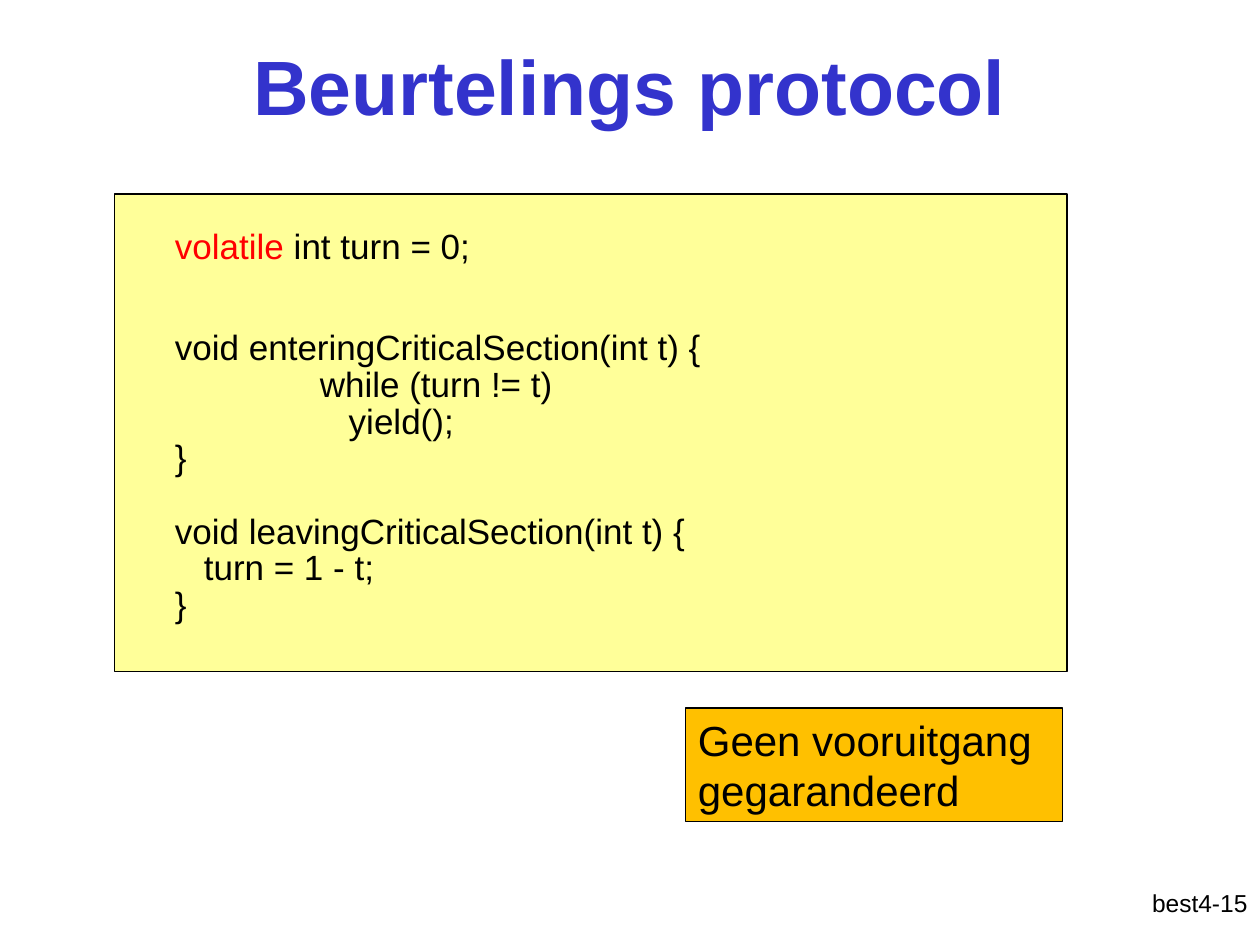
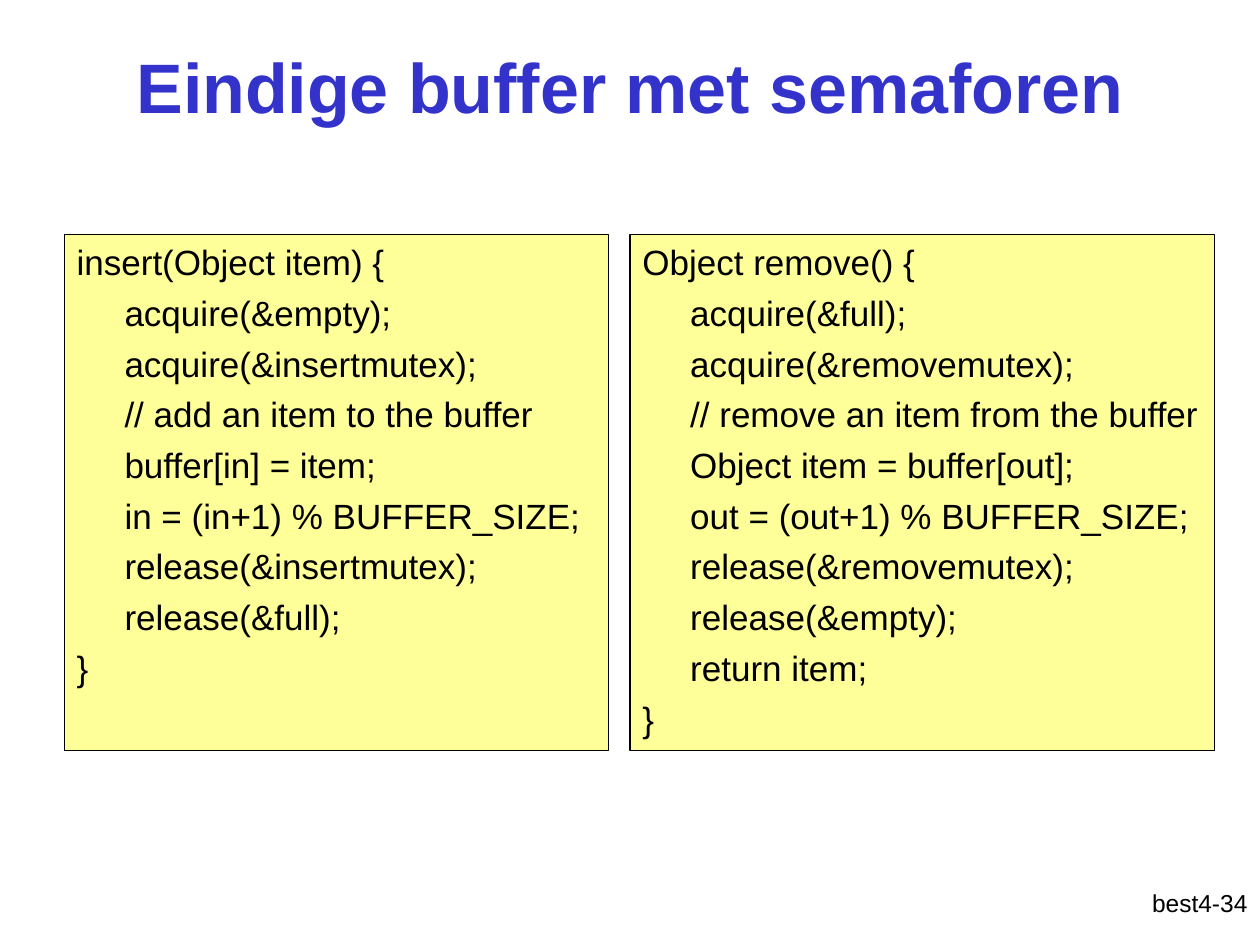
from pptx import Presentation
from pptx.dml.color import RGBColor
from pptx.enum.shapes import MSO_SHAPE
from pptx.enum.text import MSO_ANCHOR, PP_ALIGN
from pptx.util import Inches, Pt

# Shared style
FONT = "Arial"
BLACK = RGBColor(0x00, 0x00, 0x00)
RED = RGBColor(0xFF, 0x00, 0x00)
TITLE_BLUE = RGBColor(0x33, 0x33, 0xCC)
CODE_YELLOW = RGBColor(0xFF, 0xFF, 0x99)
NOTE_ORANGE = RGBColor(0xFF, 0xC0, 0x00)

RECTANGLE = MSO_SHAPE.RECTANGLE
TOP, MIDDLE = MSO_ANCHOR.TOP, MSO_ANCHOR.MIDDLE
LEFT, CENTER, RIGHT = PP_ALIGN.LEFT, PP_ALIGN.CENTER, PP_ALIGN.RIGHT

BODY_INDENT = 0.38
CODE_GAP = 5

# Code listings: (indent in inches, text)
INSERT_CODE = [(0, "insert(Object item) {")] + [(BODY_INDENT, statement) for statement in (
    "acquire(&empty);",
    "acquire(&insertmutex);",
    "// add an item to the buffer",
    "buffer[in] = item;",
    "in = (in+1) % BUFFER_SIZE;",
    "release(&insertmutex);",
    "release(&full);",
)] + [(0, "}")]

REMOVE_CODE = [(0, "Object remove() {")] + [(BODY_INDENT, statement) for statement in (
    "acquire(&full);",
    "acquire(&removemutex);",
    "// remove an item from the buffer",
    "Object item = buffer[out];",
    "out = (out+1) % BUFFER_SIZE;",
    "release(&removemutex);",
    "release(&empty);",
    "return item;",
)] + [(0, "}")]

# Turn protocol: (indent in inches, text, points before where a gap is wider)
TURN_CODE = [
    (BODY_INDENT, "volatile int turn = 0;"),
    (BODY_INDENT, "void enteringCriticalSection(int t) {", 42),
    (1.53, "while (turn != t)"),
    (1.76, "yield();"),
    (BODY_INDENT, "}"),
    (BODY_INDENT, "void leavingCriticalSection(int t) {", 26),
    (0.61, "turn = 1 - t;"),
    (BODY_INDENT, "}"),
]


def write(paragraph, text, size=20, color=BLACK, bold=False, align=LEFT,
          indent=0, before=0, line=None, keyword=""):
    """Fill a paragraph; a leading keyword is shown in red."""
    paragraph.alignment = align
    paragraph.space_before = Pt(before)
    if line:
        paragraph.line_spacing = Pt(line)
    if indent:
        properties = paragraph._p.get_or_add_pPr()
        properties.set("marL", str(Inches(indent)))
        properties.set("indent", "0")
    parts = [(text, color)]
    if keyword and text.startswith(keyword):
        parts = [(keyword, RED), (text[len(keyword):], color)]
    for words, shade in parts:
        run = paragraph.add_run()
        run.text = words
        run.font.name = FONT
        run.font.size = Pt(size)
        run.font.bold = bold
        run.font.color.rgb = shade


def prepare_frame(shape, anchor=TOP, top_inset=0.05):
    frame = shape.text_frame
    frame.word_wrap = True
    frame.vertical_anchor = anchor
    frame.margin_left = frame.margin_right = Inches(0.1)
    frame.margin_top, frame.margin_bottom = Inches(top_inset), Inches(0.05)
    return frame


def add_label(slide, text, left, top, width, height, anchor=TOP, **style):
    label = slide.shapes.add_textbox(
        Inches(left), Inches(top), Inches(width), Inches(height))
    write(prepare_frame(label, anchor).paragraphs[0], text, **style)


def add_box(slide, left, top, width, height, fill, top_inset=0.05):
    """Draw an outlined box and return its text frame."""
    box = slide.shapes.add_shape(
        RECTANGLE, Inches(left), Inches(top), Inches(width), Inches(height))
    box.shadow.inherit = False
    box.fill.solid()
    box.fill.fore_color.rgb = fill
    box.line.color.rgb = BLACK
    box.line.width = Pt(0.75)
    return prepare_frame(box, top_inset=top_inset)


def add_code(slide, listing, left, top, width, height, top_inset=0.05, **style):
    frame = add_box(slide, left, top, width, height, CODE_YELLOW, top_inset)
    for number, (indent, text, *before) in enumerate(listing):
        paragraph = frame.add_paragraph() if number else frame.paragraphs[0]
        write(paragraph, text, indent=indent,
              before=before[0] if before else CODE_GAP, **style)


def add_slide(deck, title, page, title_size):
    slide = deck.slides.add_slide(deck.slide_layouts[6])
    add_label(slide, f"best4-{page}", 7.92, 7, 2.08, 0.5, size=14, align=RIGHT)
    add_label(slide, title, 0.75, 0.05, 8.5, 1.25, anchor=MIDDLE,
              size=title_size, color=TITLE_BLUE, bold=True, align=CENTER)
    return slide


def main():
    deck = Presentation()
    deck.slide_width, deck.slide_height = Inches(10), Inches(7.5)

    # Turn-taking protocol
    protocol = add_slide(deck, "Beurtelings protocol", 15, title_size=44)
    add_code(protocol, TURN_CODE, 0.91, 1.54, 7.56, 3.79,
             top_inset=0.35, line=16, keyword="volatile")
    note = add_box(protocol, 5.44, 5.62, 2.99, 0.9, NOTE_ORANGE)
    write(note.paragraphs[0], "Geen vooruitgang gegarandeerd", size=24)

    # Bounded buffer
    buffer = add_slide(deck, "Eindige buffer met semaforen", 34, title_size=40)
    for listing, left, width in ((INSERT_CODE, 0.51, 4.32), (REMOVE_CODE, 5, 4.64)):
        add_code(buffer, listing, left, 1.86, width, 4.1)

    deck.save("out.pptx")


if __name__ == "__main__":
    main()
